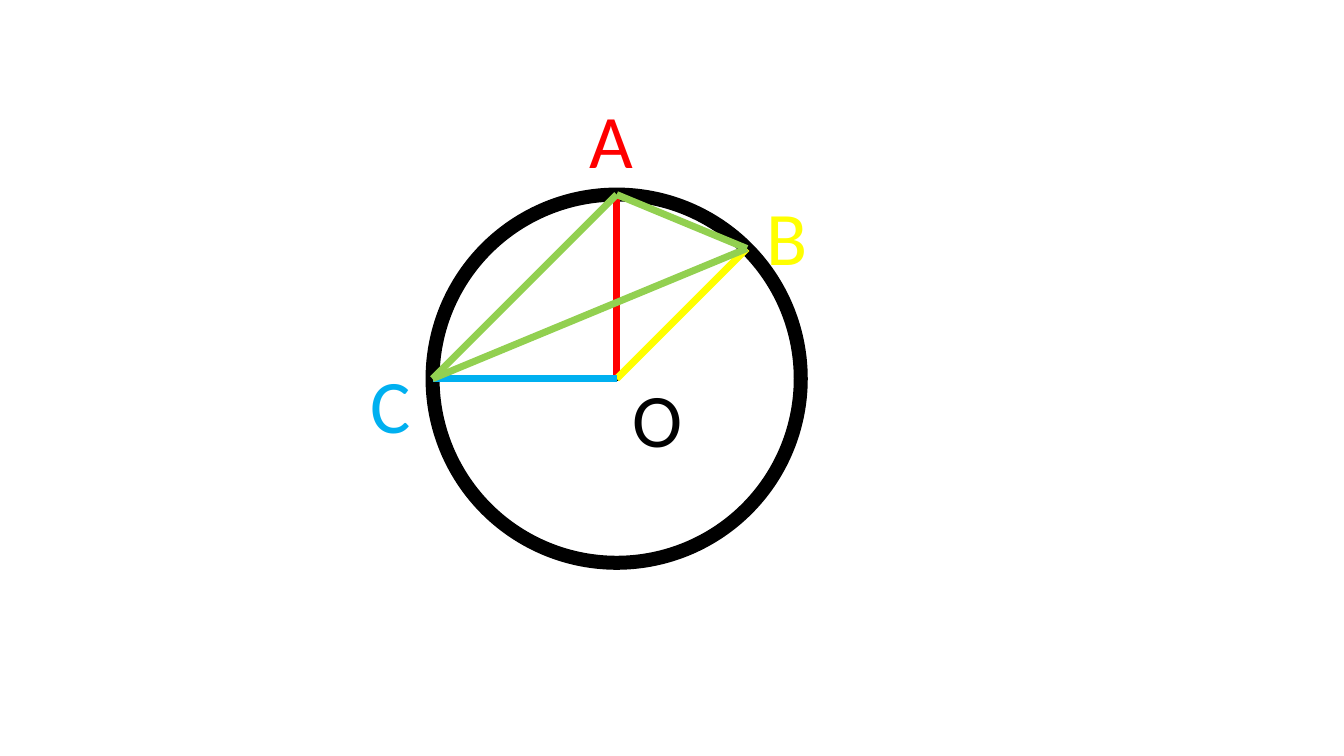
"""Draw a circle with centre O, three radii and the inscribed triangle ABC."""
from dataclasses import dataclass
from math import cos, radians, sin

from pptx import Presentation
from pptx.dml.color import RGBColor
from pptx.enum import shapes, text
from pptx.oxml.ns import qn
from pptx.util import Pt

CENTRE_X, CENTRE_Y, RADIUS = 440.5, 270.5, 131.5
DOT_RADIUS = 1.8
BLACK, RED, YELLOW, BLUE, GREEN = "000000", "FF0000", "FFFF00", "00B0F0", "92D050"


@dataclass(frozen=True)
class Spot:
    """A named point at an angle and distance from the centre."""
    name: str
    angle: float
    distance: float
    colour: str
    label_left: float
    label_top: float
    label_width: float

    @property
    def x(self) -> float:
        """Return the horizontal position in points."""
        return CENTRE_X + self.distance * cos(radians(self.angle))

    @property
    def y(self) -> float:
        """Return the vertical position in points."""
        return CENTRE_Y - self.distance * sin(radians(self.angle))


A = Spot("A", 90, RADIUS, RED, 414, 62.6, 49)
B = Spot("B", 45, RADIUS, YELLOW, 540.7, 131.8, 39)
C = Spot("C", 180, RADIUS, BLUE, 257.8, 252, 42)
O = Spot("O", 0, 0, BLACK, 445, 262, 42)


def colour(value: str) -> RGBColor:
    """Turn a hex string into a colour."""
    return RGBColor.from_string(value)


def apply(target: object, values: dict) -> None:
    """Set every format value on the target."""
    for name, value in values.items():
        setattr(target, name, value)


def draw_circle(page, radius: float):
    """Add an unfilled circle around the centre."""
    circle = page.shapes.add_shape(
        shapes.MSO_SHAPE.OVAL, Pt(CENTRE_X - radius), Pt(CENTRE_Y - radius),
        Pt(2 * radius), Pt(2 * radius))
    circle.shadow.inherit = False
    circle.fill.background()
    return circle


def draw_segment(page, start: Spot, end: Spot, stroke: str) -> None:
    """Connect two spots with a straight line."""
    segment = page.shapes.add_connector(
        shapes.MSO_CONNECTOR.STRAIGHT, Pt(start.x), Pt(start.y), Pt(end.x), Pt(end.y))
    segment.line.width = Pt(5)
    segment.line.color.rgb = colour(stroke)
    properties = segment._element.spPr
    properties.append(properties.makeelement(qn("a:effectLst"), {}))


def draw_label(page, spot: Spot) -> None:
    """Write the name of a spot in its colour."""
    box = page.shapes.add_textbox(
        Pt(spot.label_left), Pt(spot.label_top), Pt(spot.label_width), Pt(72.7))
    apply(box.text_frame, {"word_wrap": False,
                           "auto_size": text.MSO_AUTO_SIZE.SHAPE_TO_FIT_TEXT})
    para = box.text_frame.paragraphs[0]
    para.alignment = text.PP_ALIGN.LEFT
    span = para.add_run()
    span.text = spot.name
    apply(span.font, {"name": "Calibri", "size": Pt(54)})
    span.font.color.rgb = colour(spot.colour)


def main() -> None:
    """Build and save the deck."""
    deck = Presentation()
    apply(deck, {"slide_width": Pt(960), "slide_height": Pt(540)})
    page = deck.slides.add_slide(deck.slide_layouts[6])

    rim = draw_circle(page, RADIUS)
    rim.line.width = Pt(10)
    rim.line.color.rgb = colour(BLACK)
    dot = draw_circle(page, DOT_RADIUS)
    dot.fill.solid()
    dot.fill.fore_color.rgb = colour(BLACK)
    dot.line.fill.background()

    for spot in (A, B, C):
        draw_segment(page, spot, O, spot.colour)
    for spot in (A, B, C, O):
        draw_label(page, spot)
    for start, end in ((A, B), (A, C), (B, C)):
        draw_segment(page, start, end, GREEN)

    deck.save("out.pptx")


main()
